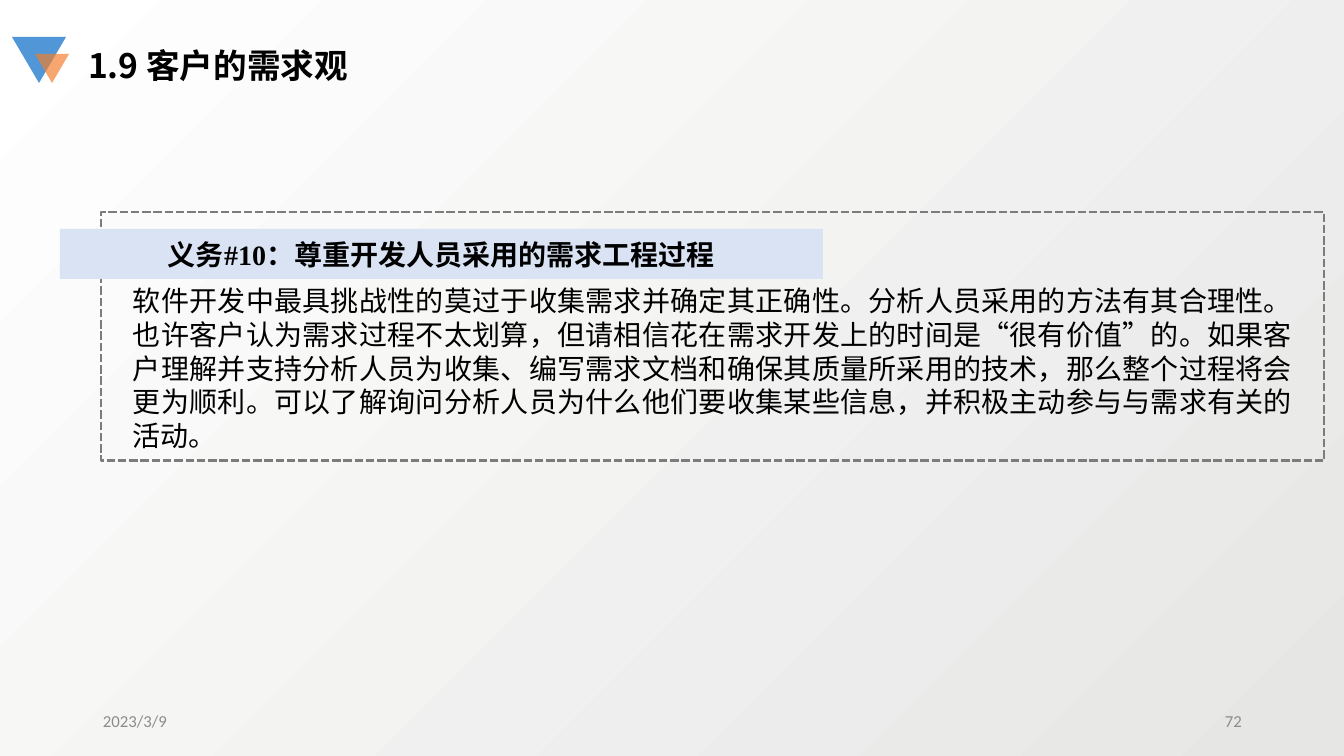
import pptx
import pptx.util
import pptx.dml.color
import pptx.enum.dml
import pptx.enum.shapes
import pptx.enum.text
import pptx.oxml
import pptx.oxml.ns

PX = 914400 / 100.8
THEME = {
    "ink": "000000", "muted": "8C8C8C", "frame": "7C7C7C", "band": "DAE3F3",
    "blue": "5197D7", "orange": "F37D2A", "shade": "E6E6E5", "light": "FFFFFF",
    "cjk": "Noto Sans CJK SC", "serif": "Times New Roman", "sans": "Calibri",
    "title": 24, "body": 20, "footer": 12,
}
ALIGN = pptx.enum.text.PP_ALIGN
ANCHOR = pptx.enum.text.MSO_ANCHOR
SHAPE = pptx.enum.shapes.MSO_SHAPE


def color(name):
    return pptx.dml.color.RGBColor.from_string(THEME[name])


def write(shape, text, size, font, ink="ink", bold=False, align=ALIGN.LEFT, anchor=ANCHOR.TOP):
    frame = shape.text_frame
    frame.text = text
    frame.word_wrap = True
    frame.auto_size = pptx.enum.text.MSO_AUTO_SIZE.NONE
    frame.vertical_anchor = anchor
    paragraph = frame.paragraphs[0]
    paragraph.alignment = align
    run = paragraph.runs[0]
    run.font.size = pptx.util.Pt(THEME[size])
    run.font.name = THEME[font]
    run.font.bold = bold
    run.font.color.rgb = color(ink)
    east_asian = pptx.oxml.parse_xml(f'<a:ea {pptx.oxml.ns.nsdecls("a")} typeface="{THEME["cjk"]}"/>')
    run.font._element.find(pptx.oxml.ns.qn("a:latin")).addnext(east_asian)
    return paragraph


deck = pptx.Presentation()
deck.slide_width, deck.slide_height = round(1344 * PX), round(756 * PX)
slide = deck.slides.add_slide(deck.slide_layouts[5])

backdrop = slide.background.fill
backdrop.gradient()
backdrop.gradient_angle = 135
for stop, name in zip(backdrop.gradient_stops, ("shade", "light")):
    stop.color.rgb = color(name)

for text, left, align in (("2023/3/9", 93, ALIGN.LEFT), ("72", 950, ALIGN.RIGHT)):
    footer = slide.shapes.add_textbox(*(round(v * PX) for v in (left, 701, 302, 40)))
    write(footer, text, "footer", "sans", "muted", align=align, anchor=ANCHOR.MIDDLE)

for name, box, alpha in (("blue", (12, 37, 54, 46), 100), ("orange", (35, 54, 34, 29), 68)):
    triangle = slide.shapes.add_shape(SHAPE.ISOSCELES_TRIANGLE, *(round(v * PX) for v in box))
    triangle.rotation = 180
    triangle.shadow.inherit = False
    triangle.line.fill.background()
    triangle.fill.solid()
    triangle.fill.fore_color.rgb = color(name)
    tint = triangle._element.spPr.find(".//" + pptx.oxml.ns.qn("a:srgbClr"))
    tint.append(pptx.oxml.parse_xml(f'<a:alpha {pptx.oxml.ns.nsdecls("a")} val="{alpha * 1000}"/>'))

border = slide.shapes.add_shape(SHAPE.RECTANGLE, *(round(v * PX) for v in (101, 212, 1223, 249)))
border.shadow.inherit = False
border.fill.background()
border.line.color.rgb = color("frame")
border.line.width = pptx.util.Pt(2)
border.line.dash_style = pptx.enum.dml.MSO_LINE.SQUARE_DOT

explanation = slide.shapes.add_textbox(*(round(v * PX) for v in (123, 279, 1179, 179)))
explanation_paragraph = write(
    explanation,
    "软件开发中最具挑战性的莫过于收集需求并确定其正确性。分析人员采用的方法有其合理性。"
    "也许客户认为需求过程不太划算，但请相信花在需求开发上的时间是“很有价值”的。"
    "如果客户理解并支持分析人员为收集、编写需求文档和确保其质量所采用的技术，"
    "那么整个过程将会更为顺利。可以了解询问分析人员为什么他们要收集某些信息，"
    "并积极主动参与与需求有关的活动。",
    "body", "cjk", align=ALIGN.JUSTIFY)
explanation_paragraph.line_spacing = pptx.util.Pt(24)

duty = slide.shapes.add_shape(SHAPE.RECTANGLE, *(round(v * PX) for v in (60, 229, 763, 50)))
duty.shadow.inherit = False
duty.line.fill.background()
duty.fill.solid()
duty.fill.fore_color.rgb = color("band")
write(duty, "义务#10：尊重开发人员采用的需求工程过程", "body", "serif",
      bold=True, align=ALIGN.CENTER, anchor=ANCHOR.MIDDLE)

title = slide.shapes.title
title.left, title.top, title.width, title.height = (round(v * PX) for v in (78, 40, 555, 50))
write(title, "1.9 客户的需求观", "title", "cjk", bold=True, anchor=ANCHOR.MIDDLE)

deck.save("out.pptx")
